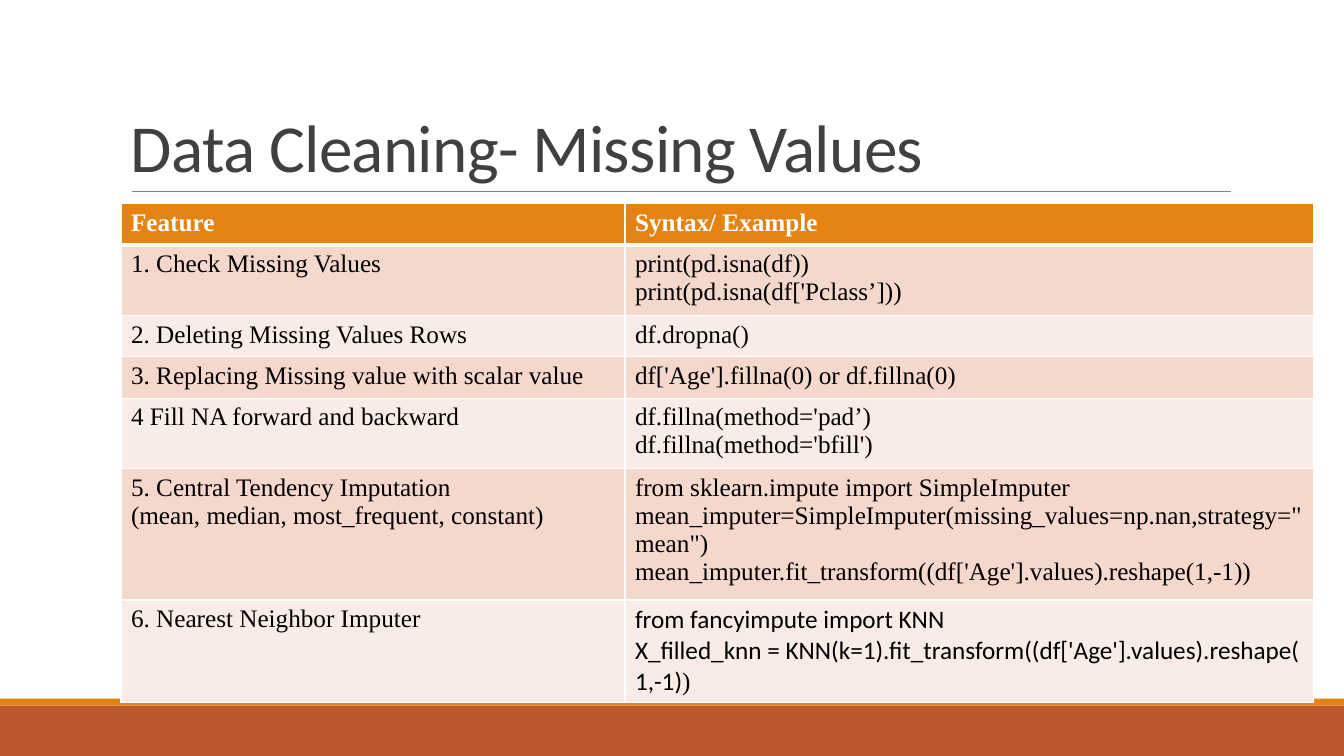
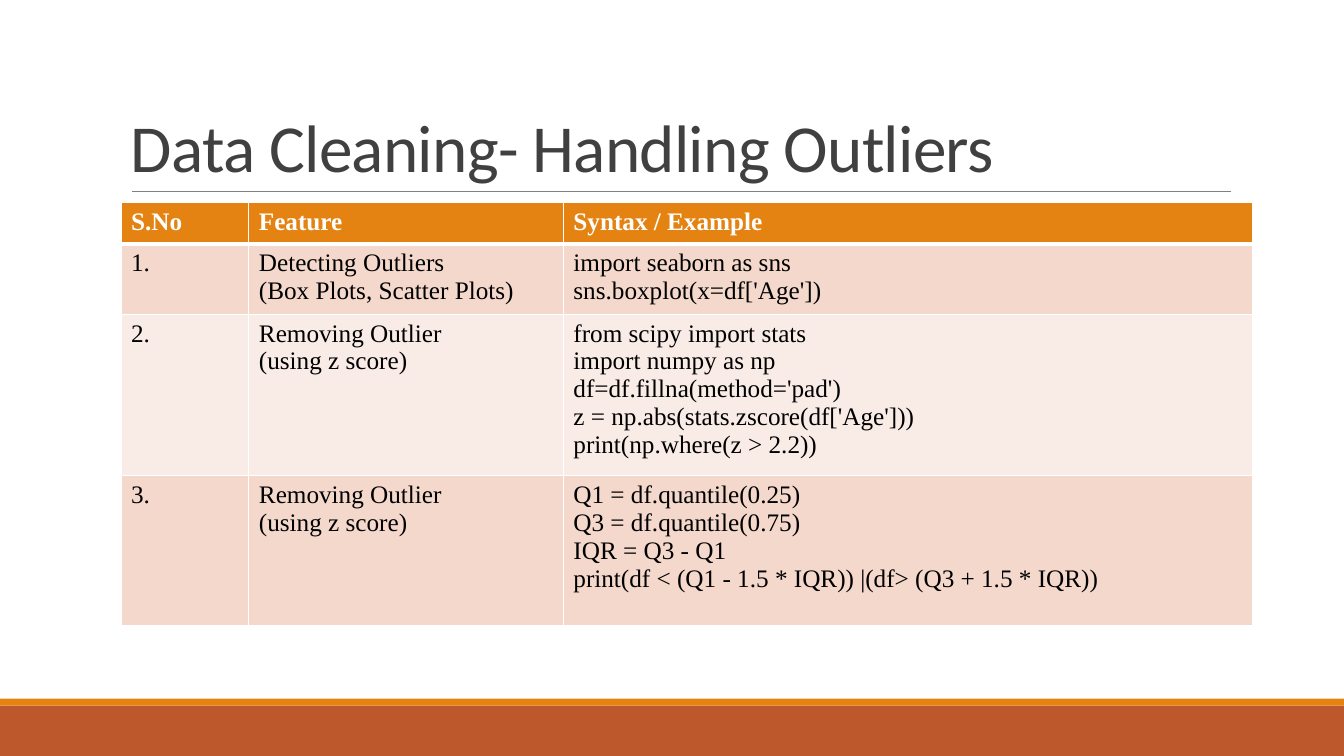
import pptx
import pptx.util
import pptx.dml.color
import pptx.enum.shapes
import pptx.enum.text
import pptx.oxml
import pptx.oxml.ns

WIDE, HIGH = 13.33, 7.5
RUST, AMBER, GREY, DARK = "BD582C", "E48312", "808080", "404040"
WHITE, BLACK = "FFFFFF", "000000"
BANDS = ("F4D8CC", "F9ECE7")
SANS, SERIF = "Calibri", "Times New Roman"
LEFT = 9
THIN, THICK = 0.96, 3
LINE, PAIR = 5.47, 8.67


def across(share):
    """Turn a percentage of the slide's width into a length."""
    return pptx.util.Inches(WIDE * share / 100)


def down(share):
    """Turn a percentage of the slide's height into a length."""
    return pptx.util.Inches(HIGH * share / 100)


def color(code):
    """Turn a hex string into a colour."""
    return pptx.dml.color.RGBColor.from_string(code)


def paint(item, code):
    """Fill a shape or cell with a plain colour."""
    item.fill.solid()
    item.fill.fore_color.rgb = color(code)


def code(text):
    """Keep the words of a code line together."""
    return text.replace(" ", "\u00a0")


def write(frame, text, font=SERIF, size=18, ink=BLACK, bold=False,
          tail="", space=None, track=None):
    """Write lines as paragraphs; a tail ends the last one in serif."""
    frame.word_wrap = True
    for i, line in enumerate(text.split("\n")):
        para = frame.paragraphs[0] if i == 0 else frame.add_paragraph()
        para.line_spacing = space
        runs = [(line, font)]
        if tail and i == text.count("\n"):
            runs.append((tail, SERIF))
        for words, face in runs:
            run = para.add_run()
            run.text = words
            run.font.name = face
            run.font.size = pptx.util.Pt(size)
            run.font.bold = bold
            run.font.color.rgb = color(ink)
            if track is not None:
                run.font._element.set("spc", str(int(track * 100)))


def band(slide, top, tall, fill):
    """Draw a full-width footer band."""
    shape = slide.shapes.add_shape(
        pptx.enum.shapes.MSO_SHAPE.RECTANGLE,
        0, down(top), across(100), down(tall))
    shape.shadow.inherit = False
    shape.line.fill.background()
    paint(shape, fill)


def rule(slide, start, end, top):
    """Draw the thin line under the title."""
    line = slide.shapes.add_connector(
        pptx.enum.shapes.MSO_CONNECTOR.STRAIGHT,
        across(start), down(top), across(end), down(top))
    line.line.color.rgb = color(GREY)
    line.line.width = pptx.util.Pt(0.5)
    line._element.spPr.append(pptx.oxml.parse_xml(
        f"<a:effectLst {pptx.oxml.ns.nsdecls('a')}/>"))


def page(deck, title):
    """Add a slide with the shared footer, rule and title."""
    slide = deck.slides.add_slide(deck.slide_layouts[6])
    band(slide, 93.33, 6.67, RUST)
    band(slide, 92.4, 0.93, AMBER)
    rule(slide, 9.82, 91.6, 25.33)
    box = slide.shapes.add_textbox(
        across(LEFT), down(4.13), across(82.5), down(21.2))
    box.text_frame.vertical_anchor = pptx.enum.text.MSO_ANCHOR.BOTTOM
    write(box.text_frame, title, font=SANS, size=48, ink=DARK,
          space=0.85, track=-0.5)
    return slide


def edge(cell, side, width):
    """Give one side of a cell a white border."""
    cell._tc.get_or_add_tcPr().append(pptx.oxml.parse_xml(
        f"<a:ln{side} {pptx.oxml.ns.nsdecls('a')} "
        f'w="{int(pptx.util.Pt(width))}"><a:solidFill>'
        f'<a:srgbClr val="{WHITE}"/></a:solidFill></a:ln{side}>'))


def grid(slide, top, cols, rows, cells):
    """Add a banded table; a cell is text or keywords for write()."""
    table = slide.shapes.add_table(
        len(rows), len(cols), across(LEFT), down(top),
        across(sum(cols)), down(sum(rows))).table
    table.horz_banding = False
    for col, share in zip(table.columns, cols):
        col.width = across(share)
    for r, (row, share) in enumerate(zip(table.rows, rows)):
        row.height = down(share)
        head = r == 0
        for cell, item in zip(row.cells, cells[r]):
            edge(cell, "L", THIN)
            edge(cell, "R", THIN)
            edge(cell, "T", THICK if r == 1 else THIN)
            edge(cell, "B", THICK if head else THIN)
            paint(cell, AMBER if head else BANDS[(r - 1) % 2])
            form = item if isinstance(item, dict) else {"text": item}
            write(cell.text_frame, ink=WHITE if head else BLACK,
                  bold=head, **form)


def gaps(deck):
    """Build the slide on missing values."""
    slide = page(deck, "Data Cleaning- Missing Values")
    knn = code("from fancyimpute import KNN\n"
               "X_filled_knn = KNN(k=1).fit_transform("
               "(df['Age'].values).reshape(1,-1)")
    grid(slide, 26.93, (37.5, 51.23),
         (LINE, PAIR, LINE, LINE, PAIR, 16.13, 13.6), [
        ("Feature", "Syntax/ Example"),
        ("1. Check Missing Values",
         "print(pd.isna(df))\nprint(pd.isna(df['Pclass’]))"),
        ("2. Deleting Missing Values Rows", "df.dropna()"),
        ("3. Replacing Missing value with scalar value",
         "df['Age'].fillna(0) or df.fillna(0)"),
        ("4 Fill NA forward and backward",
         "df.fillna(method='pad’)\ndf.fillna(method='bfill')"),
        ("5. Central Tendency Imputation\n"
         "(mean, median, most_frequent, constant)",
         "from sklearn.impute import SimpleImputer\n"
         "mean_imputer=SimpleImputer("
         "missing_values=np.nan,strategy=\"mean\")\n"
         "mean_imputer.fit_transform((df['Age'].values).reshape(1,-1))"),
        ("6. Nearest Neighbor Imputer",
         {"text": knn, "font": SANS, "tail": ")"}),
    ])


def strays(deck):
    """Build the slide on outliers."""
    slide = page(deck, "Data Cleaning- Handling Outliers")
    drop = "Removing Outlier\n(using z score)"
    grid(slide, 26.8, (9.52, 23.4, 51.3), (LINE, PAIR, 19.8, 19.8), [
        ("S.No", "Feature", "Syntax / Example"),
        ("1.", "Detecting Outliers\n(Box Plots, Scatter Plots)",
         code("import seaborn as sns\nsns.boxplot(x=df['Age'])")),
        ("2.", drop,
         code("from scipy import stats\nimport numpy as np\n"
              "df=df.fillna(method='pad')\n"
              "z = np.abs(stats.zscore(df['Age']))\n"
              "print(np.where(z > 2.2))")),
        ("3.", drop,
         code("Q1 = df.quantile(0.25)\nQ3 = df.quantile(0.75)\n"
              "IQR = Q3 - Q1\n"
              "print(df < (Q1 - 1.5 * IQR)) |(df> (Q3 + 1.5 * IQR))")),
    ])


def main():
    """Build and save the deck."""
    deck = pptx.Presentation()
    deck.slide_width, deck.slide_height = across(100), down(100)
    gaps(deck)
    strays(deck)
    deck.save("out.pptx")


main()
